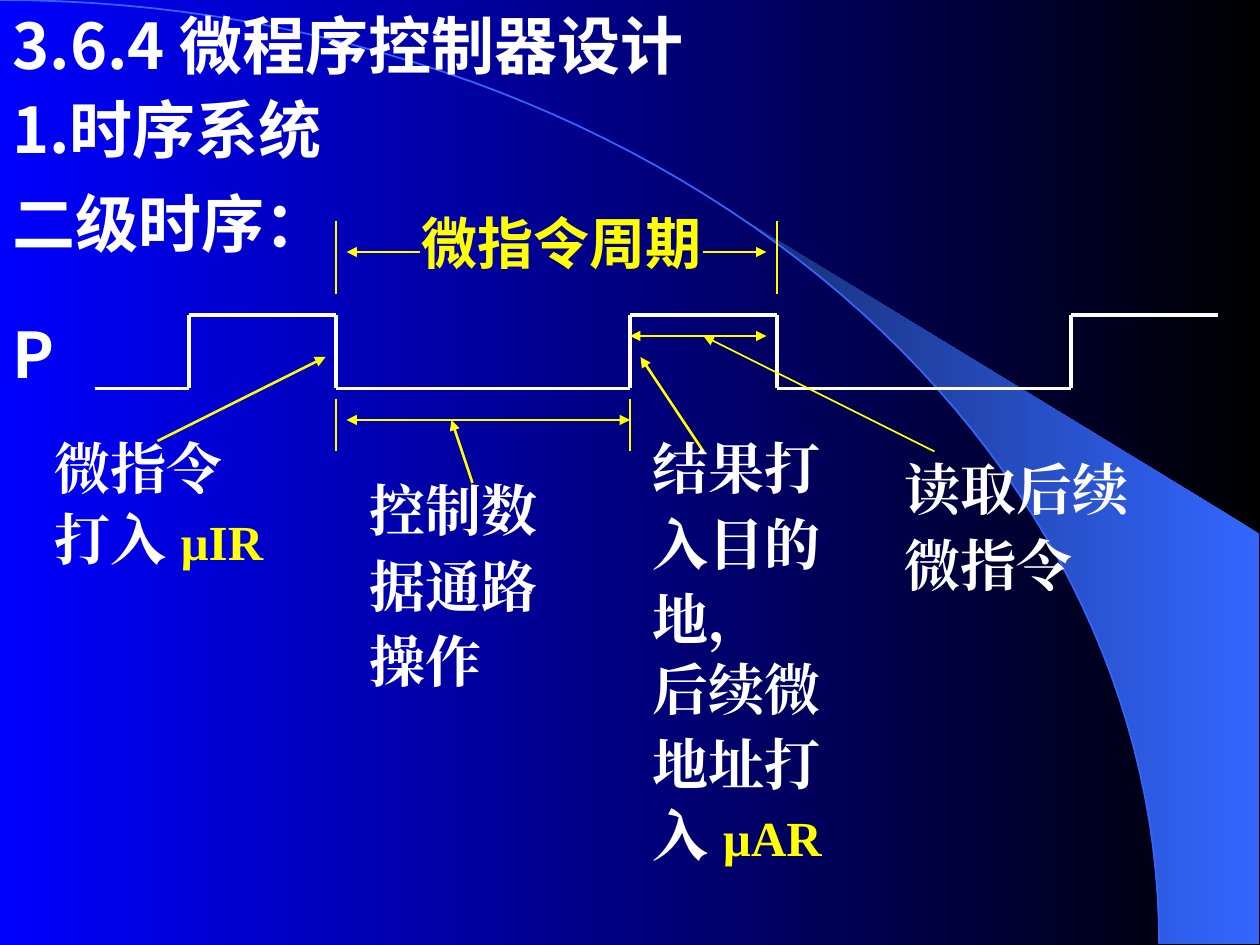
import math
from dataclasses import dataclass
from itertools import pairwise

from lxml import etree
from pptx import Presentation
from pptx.dml.color import RGBColor
from pptx.enum import shapes, text
from pptx.oxml.ns import qn
from pptx.util import Emu, Pt

PX = 7620  # 120 px to the inch


@dataclass(frozen=True)
class Theme:
    white: str = "FFFFFF"
    yellow: str = "FFFF00"
    blue: str = "3366FF"
    navy: str = "172F75"
    backdrop: tuple = ("000000", "0000FF")
    heading_font: str = "Noto Sans CJK SC"
    label_font: str = "Times New Roman"
    heading: int = 36
    label: int = 32
    register: int = 28
    thin: float = 1
    medium: float = 1.5
    thick: float = 2.25


THEME = Theme()


def px(length):
    return Emu(round(length * PX))


def rgb(value):
    return RGBColor.from_string(value)


def apply(target, **values):
    for name, value in values.items():
        setattr(target, name, value)


def set_gradient(fill, colors):
    fill.gradient()
    fill.gradient_angle = 180
    for stop, color in zip(fill.gradient_stops, colors):
        stop.color.rgb = rgb(color)


# Text
def add_span(para, words, font, size, color):
    span = para.add_run()
    span.text = words
    apply(span.font, name=font, size=Pt(size), bold=True)
    span.font.color.rgb = rgb(color)
    east_asian = etree.SubElement(span.font._element, qn("a:ea"))
    east_asian.set("typeface", font)


def write(box, place, lines, font, size, color, spacing):
    """Each line is a list of (words, is_register) pairs."""
    apply(box, **dict(zip(("left", "top", "width", "height"), map(px, place))))
    frame = box.text_frame
    apply(frame, word_wrap=True, vertical_anchor=text.MSO_ANCHOR.TOP,
          auto_size=text.MSO_AUTO_SIZE.SHAPE_TO_FIT_TEXT)
    for index, line in enumerate(lines):
        para = frame.add_paragraph() if index else frame.paragraphs[0]
        has_register = any(is_register for _, is_register in line)
        before = 0 if index == 0 else 17.5 if has_register else 20
        apply(para, alignment=text.PP_ALIGN.LEFT, line_spacing=spacing,
              space_before=Pt(before))
        for words, is_register in line:
            add_span(para, words, font,
                     THEME.register if is_register else size,
                     THEME.yellow if is_register else color)


def add_heading(page, place, words, spacing=1.0, size=THEME.heading,
                color=THEME.white):
    box = page.shapes.add_textbox(0, 0, 0, 0)
    write(box, place, [[(words, False)]], THEME.heading_font, size, color, spacing)


def add_label(page, place, lines, register=None):
    spans = [[(line, False)] for line in lines]
    if register:
        spans[-1].append((register, True))
    box = page.shapes.add_textbox(0, 0, 0, 0)
    write(box, place, spans, THEME.label_font, THEME.label, THEME.white, 0.6)


# Lines and arrows
def add_line(page, start, end, color=THEME.yellow, width=THEME.medium, ends=()):
    line = page.shapes.add_connector(
        shapes.MSO_CONNECTOR.STRAIGHT, *map(px, (*start, *end)))
    line.line.color.rgb = rgb(color)
    line.line.width = Pt(width)
    for name in ends:
        etree.SubElement(line.line._ln, qn(f"a:{name}")).set("type", "triangle")
    etree.SubElement(line._element.spPr, qn("a:effectLst"))


def add_pulse_train(page, edges, low, high):
    levels = [low if index % 2 == 0 else high for index in range(len(edges) - 1)]
    for (left, right), level in zip(pairwise(edges), levels):
        add_line(page, (left, level), (right, level), THEME.white, THEME.thick)
    for edge in edges[1:-1]:
        add_line(page, (edge, low), (edge, high), THEME.white, THEME.thick)


# Background curve and swoosh
def arc_points(start_angle, steps=60):
    angles = [start_angle + (math.pi / 2 - start_angle) * step / steps
              for step in range(steps + 1)]
    return [(1104 * math.sin(angle), 899 * (1 - math.cos(angle))) for angle in angles]


def add_outline(page, points, close):
    corners = [(px(x), px(y)) for x, y in points]
    builder = page.shapes.build_freeform(*corners[0])
    builder.add_line_segments(corners[1:], close=close)
    outline = builder.convert_to_shape()
    outline.shadow.inherit = False
    return outline


def add_backdrop(page):
    set_gradient(page.background.fill, THEME.backdrop)
    swoosh_points = arc_points(math.asin(707 / 1104)) + [(1199, 899), (1199, 508)]
    swoosh = add_outline(page, swoosh_points, close=True)
    set_gradient(swoosh.fill, (THEME.blue, THEME.navy))
    swoosh.line.fill.background()
    curve = add_outline(page, arc_points(0), close=False)
    curve.fill.background()
    curve.line.color.rgb = rgb(THEME.blue)
    curve.line.width = Pt(THEME.thin)


def main():
    deck = Presentation()
    apply(deck, slide_width=px(1200), slide_height=px(900))
    page = deck.slides.add_slide(deck.slide_layouts[5])
    add_backdrop(page)

    # Headings, with the title brought in front of the backdrop
    title = page.shapes.title
    page.shapes._spTree.append(title._element)
    write(title, (0, 0, 860, 84), [[("3.6.4 微程序控制器设计", False)]],
          THEME.heading_font, THEME.heading, THEME.white, 1.0)
    add_heading(page, (0, 80, 480, 84), "1.时序系统")
    add_heading(page, (0, 190, 460, 62), "二级时序：", 0.7)
    add_heading(page, (0, 320, 140, 55), "P", 0.6)
    add_heading(page, (390, 210, 320, 102), "微指令周期", 0.7,
                THEME.label, THEME.yellow)

    # Clock signal
    edges = (90, 180, 320, 600, 740, 1020, 1160)
    add_pulse_train(page, edges, low=370, high=300)

    # Boundary marks
    for x, top, bottom in ((320, 210, 280), (740, 210, 280),
                           (320, 380, 430), (600, 380, 430)):
        add_line(page, (x, top), (x, bottom))

    # Span arrows
    both = ("headEnd", "tailEnd")
    for left, right, y, ends in ((330, 400, 240, both[:1]), (670, 730, 240, both[1:]),
                                 (330, 600, 400, both), (600, 730, 320, both)):
        add_line(page, (left, y), (right, y), width=THEME.thin, ends=ends)

    # Pointers from the labels to the signal
    for start, end, width in (((150, 420), (310, 340), THEME.medium),
                              ((450, 460), (430, 400), THEME.medium),
                              ((670, 430), (610, 340), THEME.medium),
                              ((890, 430), (670, 320), THEME.thin)):
        add_line(page, start, end, width=width, ends=("tailEnd",))

    # Labels
    add_label(page, (40, 430, 310, 119), ["微指令", "打入 "], "µIR")
    add_label(page, (340, 470, 310, 194), ["控制数", "据通路", "操作"])
    add_label(page, (610, 430, 310, 194), ["结果打", "入目的", "地，"])
    add_label(page, (850, 450, 310, 122), ["读取后续", "微指令"])
    add_label(page, (610, 640, 310, 190), ["后续微", "地址打", "入 "], "µAR")

    deck.save("out.pptx")


if __name__ == "__main__":
    main()
